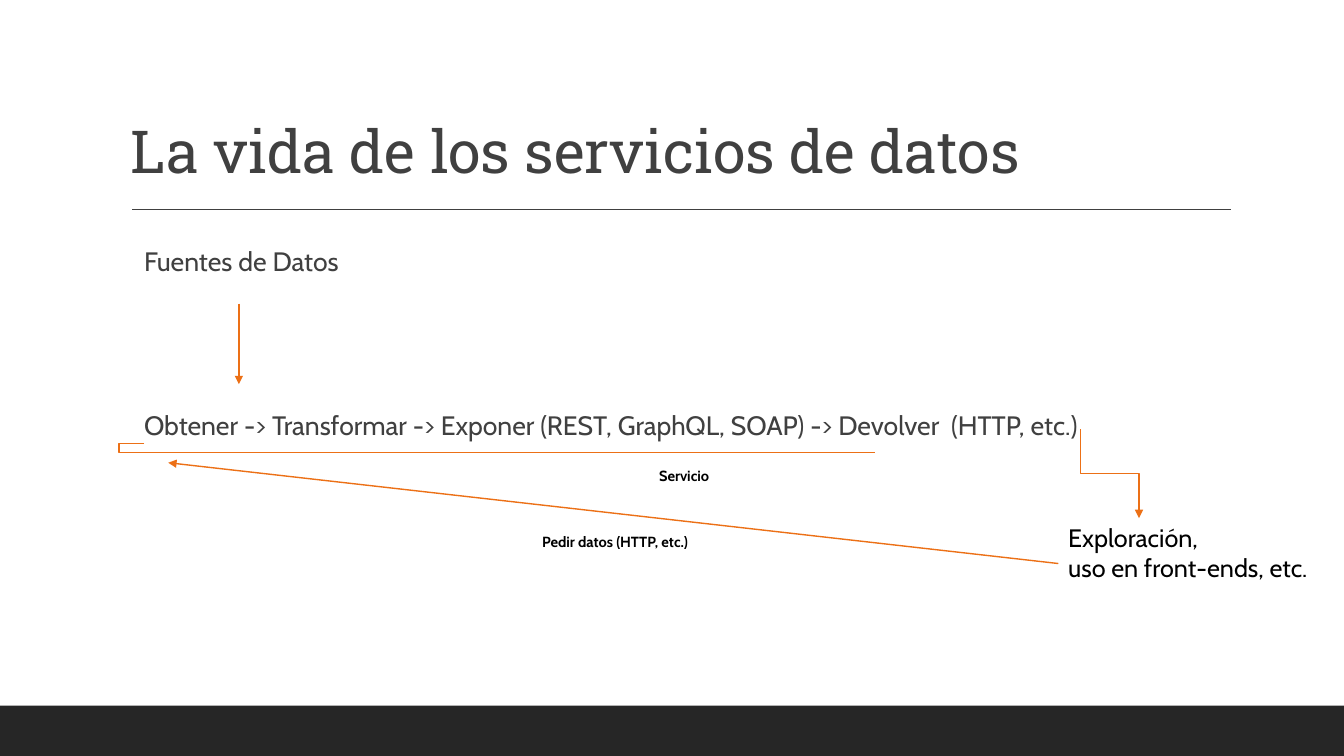
from pptx import Presentation
from pptx.dml.color import RGBColor
from pptx.enum.shapes import MSO_CONNECTOR as Link, MSO_SHAPE as Preset
from pptx.enum.text import MSO_ANCHOR as Anchor
from pptx.oxml.ns import qn
from pptx.util import Cm, Pt
from lxml.etree import SubElement

SIZE = (33.87, 19.05)
FOOTER = (0, 17.78, 33.87, 1.27)
DARK, GREY, ORANGE, BLACK = "262626", "404040", "EC7016", "000000"

HEADING = {"name": "Roboto Slab", "size": Pt(42.3), "color": GREY}
BODY = {"name": "Cabin", "size": Pt(19), "color": GREY}
CLIENT = {"name": "Cabin", "size": Pt(18), "color": BLACK}
LABEL = {"name": "Cabin", "size": Pt(10.5), "color": BLACK, "bold": True}

PLAIN = {"word_wrap": True}
TITLE_BOX = {"word_wrap": True, "vertical_anchor": Anchor.BOTTOM}
BODY_BOX = {"word_wrap": True, "margin_left": 0, "margin_right": 0}
CLIENT_BOX = {"word_wrap": False}

TEXTS = [
    (["La vida de los servicios de datos"], (3.05, 3.45, 24.38, 1.37), HEADING, TITLE_BOX, 0.9),
    (["Fuentes de Datos"], (3.63, 5.97, 26.31, 1.2), BODY, BODY_BOX, 1.1),
    (["Obtener -> Transformar -> Exponer (REST, GraphQL, SOAP) -> Devolver  (HTTP, etc.)"],
     (3.63, 10.11, 26.31, 1.2), BODY, BODY_BOX, 1.1),
    (["Exploración,", "uso en front-ends, etc."], (26.67, 13.03, 6.71, 1.8), CLIENT, CLIENT_BOX, 1),
    (["Pedir datos (HTTP, etc.)"], (13.41, 13.31, 4.62, 0.71), LABEL, PLAIN, 1),
    (["Servicio"], (16.36, 11.63, 4.62, 0.71), LABEL, PLAIN, 1),
]

LINES = [
    {"ends": (3.33, 5.28, 31.01, 5.28), "color": GREY},
    {"ends": (6.02, 7.65, 6.02, 9.68), "arrow": True},
    {"ends": (29.09, 11.2, 26.85, 12.67), "kind": Link.ELBOW, "turn": 270, "arrow": True},
    {"ends": (3.63, 11.18, 22.05, 11.4), "kind": Link.ELBOW, "bend": -0.034},
    {"ends": (26.67, 14.2, 4.24, 11.66), "arrow": True},
]


def rgb(code):
    return RGBColor.from_string(code)


def add_text(page, lines, place, style, frame_format, spacing):
    frame = page.shapes.add_textbox(*map(Cm, place)).text_frame
    for name, value in frame_format.items():
        setattr(frame, name, value)
    for index, line in enumerate(lines):
        para = frame.paragraphs[0] if index == 0 else frame.add_paragraph()
        para.line_spacing = spacing
        span = para.add_run()
        span.text = line
        for name, value in style.items():
            if name == "color":
                span.font.color.rgb = rgb(value)
            else:
                setattr(span.font, name, value)
    return frame


def add_line(page, ends, kind=Link.STRAIGHT, color=ORANGE, arrow=False, turn=0, bend=None):
    line = page.shapes.add_connector(kind, *map(Cm, ends))
    line.line.color.rgb = rgb(color)
    line.line.width = Pt(1)
    properties = line._element.spPr
    if turn:
        properties.find(qn("a:xfrm")).set("rot", str(turn * 60000))
    if bend is not None:
        adjustments = properties.find(qn("a:prstGeom")).find(qn("a:avLst"))
        SubElement(adjustments, qn("a:gd"), name="adj1", fmla=f"val {round(bend * 100000)}")
    if arrow:
        SubElement(properties.find(qn("a:ln")), qn("a:tailEnd"), type="triangle")
    SubElement(properties, qn("a:effectLst"))


def main():
    deck = Presentation()
    deck.slide_width, deck.slide_height = map(Cm, SIZE)
    page = deck.slides.add_slide(deck.slide_layouts[6])
    footer = page.shapes.add_shape(Preset.RECTANGLE, *map(Cm, FOOTER))
    footer.shadow.inherit = False
    footer.fill.solid()
    footer.fill.fore_color.rgb = rgb(DARK)
    footer.line.fill.background()
    for line in LINES:
        add_line(page, **line)
    for text in TEXTS:
        add_text(page, *text)
    deck.save("out.pptx")


if __name__ == "__main__":
    main()
